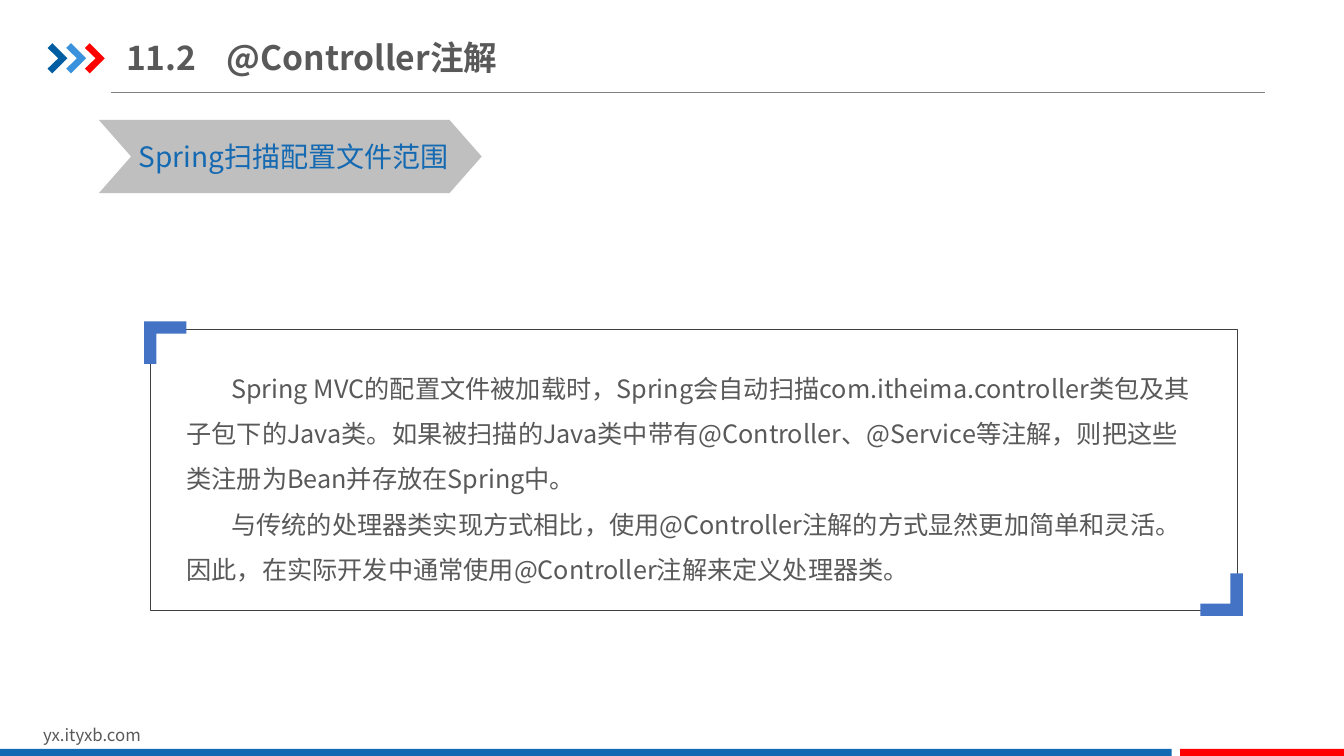
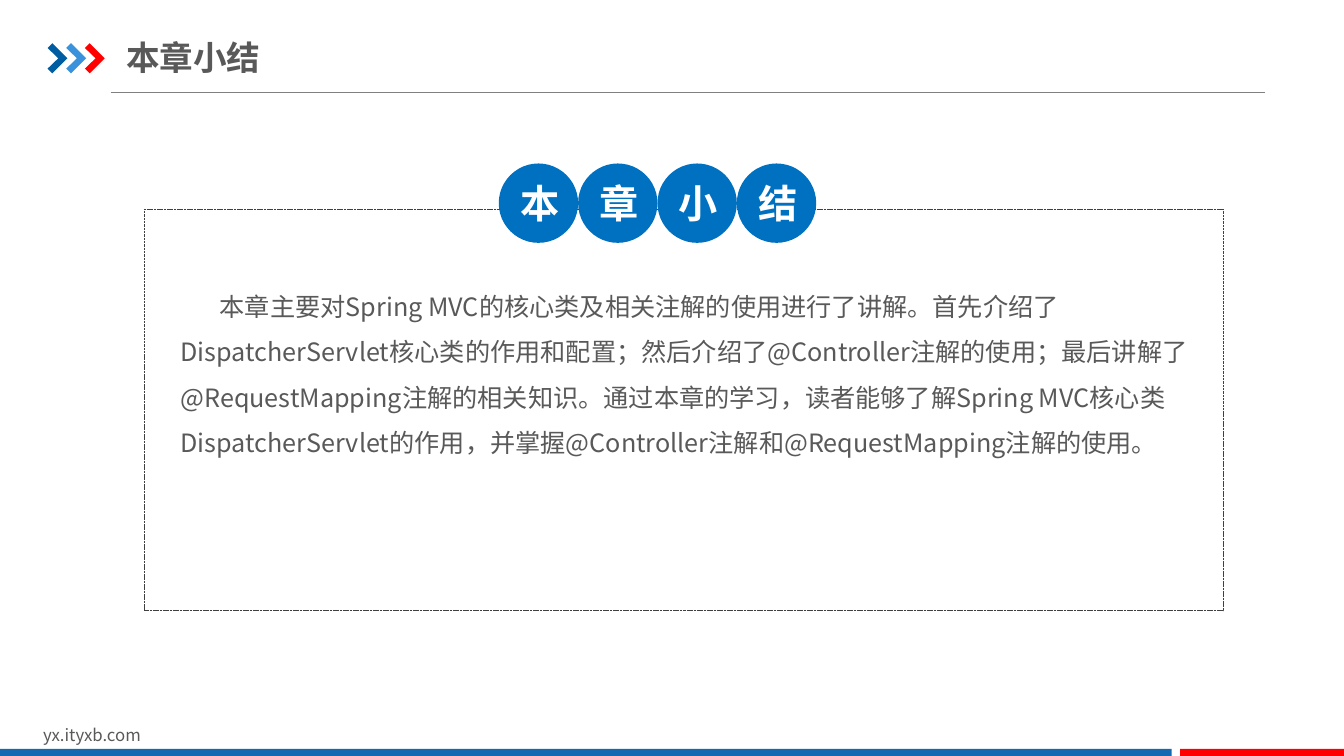
from pptx import Presentation
from pptx.dml.color import RGBColor
from pptx.enum.dml import MSO_LINE
from pptx.enum.shapes import MSO_CONNECTOR, MSO_SHAPE
from pptx.enum.text import MSO_ANCHOR, PP_ALIGN
from pptx.oxml.ns import qn
from pptx.util import Cm, Pt
from lxml import etree

RECTANGLE, CHEVRON, OVAL = MSO_SHAPE.RECTANGLE, MSO_SHAPE.CHEVRON, MSO_SHAPE.OVAL
STRAIGHT = MSO_CONNECTOR.STRAIGHT
DASH = MSO_LINE.SQUARE_DOT
TOP, MIDDLE = MSO_ANCHOR.TOP, MSO_ANCHOR.MIDDLE
LEFT, CENTER = PP_ALIGN.LEFT, PP_ALIGN.CENTER

FONT = "Noto Sans CJK SC"
TEXT_GRAY = RGBColor(0x59, 0x59, 0x59)
RULE_GRAY = RGBColor(0x80, 0x80, 0x80)
FRAME_GRAY = RGBColor(0x40, 0x40, 0x40)
BANNER_GRAY = RGBColor(0xBF, 0xBF, 0xBF)
WHITE = RGBColor(0xFF, 0xFF, 0xFF)
BLUE = RGBColor(0x13, 0x69, 0xB2)
DEEP_BLUE = RGBColor(0x00, 0x5D, 0xA2)
LIGHT_BLUE = RGBColor(0x39, 0x92, 0xDB)
CORNER_BLUE = RGBColor(0x44, 0x72, 0xC4)
CIRCLE_BLUE = RGBColor(0x00, 0x70, 0xC0)
RED = RGBColor(0xFF, 0x00, 0x00)

WIDTH, HEIGHT = 33.87, 19.05
ARROW = [(0, 0.12), (0.12, 0), (0.5, 0.38), (0.12, 0.76), (0, 0.64), (0.27, 0.38)]
CORNER = [(0, 0), (1.07, 0), (1.07, 0.31), (0.31, 0.31), (0.31, 1.07), (0, 1.07)]


def add_figure(slide, kind, left, top, width=0, height=0, fill=None, line=None, flip=1):
    """Add a preset shape, or an outline when kind is a list of points in cm."""
    if isinstance(kind, list):
        points = [(Cm(left + flip * x), Cm(top + flip * y)) for x, y in kind]
        builder = slide.shapes.build_freeform(*points[0], scale=1.0)
        builder.add_line_segments(points[1:], close=True)
        shape = builder.convert_to_shape()
    else:
        shape = slide.shapes.add_shape(kind, Cm(left), Cm(top), Cm(width), Cm(height))
    shape.shadow.inherit = False
    if fill is None:
        shape.fill.background()
    else:
        shape.fill.solid()
        shape.fill.fore_color.rgb = fill
    if line is None:
        shape.line.fill.background()
    else:
        shape.line.color.rgb = line
        shape.line.width = Pt(0.25)
    return shape


def write_text(shape, text, size, color=TEXT_GRAY, bold=False, align=LEFT, anchor=TOP,
               margins=(0.25, 0.13), spacing=1.0, indent=0, tab=None, wrap=True):
    """Fill a shape with text, one paragraph per line; lengths are in cm."""
    frame = shape.text_frame
    frame.word_wrap = wrap
    frame.vertical_anchor = anchor
    frame.margin_left = frame.margin_right = Cm(margins[0])
    frame.margin_top = frame.margin_bottom = Cm(margins[1])
    for index, content in enumerate(text.split("\n")):
        paragraph = frame.add_paragraph() if index else frame.paragraphs[0]
        paragraph.alignment = align
        paragraph.line_spacing = spacing
        properties = paragraph._p.get_or_add_pPr()
        properties.set("indent", str(Cm(indent)))
        if tab:
            tabs = etree.SubElement(properties, qn("a:tabLst"))
            etree.SubElement(tabs, qn("a:tab"), pos=str(Cm(tab)), algn="l")
        run = paragraph.add_run()
        run.text = content
        run.font.size = Pt(size)
        run.font.bold = bold
        run.font.color.rgb = color
        run.font.name = FONT
        etree.SubElement(run._r.get_or_add_rPr(), qn("a:ea"), typeface=FONT)


presentation = Presentation()
presentation.slide_width, presentation.slide_height = Cm(WIDTH), Cm(HEIGHT)

# Header and footer of every slide
slides = []
for title in ("11.2\t@Controller注解", "本章小结"):
    slide = presentation.slides.add_slide(presentation.slide_layouts[6])
    slides.append(slide)
    rule = slide.shapes.add_connector(STRAIGHT, Cm(2.79), Cm(2.32), Cm(31.88), Cm(2.32))
    rule.line.color.rgb = RULE_GRAY
    rule.line.width = Pt(0.5)
    etree.SubElement(rule._element.spPr, qn("a:effectLst"))
    for index, color in enumerate((DEEP_BLUE, LIGHT_BLUE, RED)):
        add_figure(slide, ARROW, 1.2 + 0.47 * index, 1.09, fill=color)
    for left, right, color in ((0, 29.53, BLUE), (29.74, WIDTH, RED)):
        add_figure(slide, RECTANGLE, left, 18.87, right - left, HEIGHT - 18.87, fill=color)
    footer = slide.shapes.add_textbox(Cm(0.84), Cm(18.13), Cm(8.08), Cm(0.77))
    write_text(footer, "yx.ityxb.com", 12)
    title_box = slide.shapes.add_textbox(Cm(3.18), Cm(0.75), Cm(10.75), Cm(1.4))
    write_text(title_box, title, 24, bold=True, anchor=MIDDLE, margins=(0, 0.18),
               tab=2.16 if "\t" in title else None)

scan_slide, summary_slide = slides

# Scan range
banner = add_figure(scan_slide, CHEVRON, 2.49, 3.02, 9.65, 1.85, fill=BANNER_GRAY)
banner.adjustments[0] = 0.44
banner_label = scan_slide.shapes.add_textbox(Cm(3.25), Cm(3.38), Cm(8.64), Cm(1.12))
write_text(banner_label, "Spring扫描配置文件范围", 20, color=BLUE, wrap=False)
add_figure(scan_slide, RECTANGLE, 3.79, 8.29, 27.4, 7.09, line=FRAME_GRAY)
for left, top, flip in ((3.63, 8.1, 1), (31.32, 15.52, -1)):
    add_figure(scan_slide, CORNER, left, top, fill=CORNER_BLUE, flip=flip)
scan_body = scan_slide.shapes.add_textbox(Cm(4.45), Cm(8.89), Cm(26.09), Cm(6.02))
write_text(
    scan_body,
    "Spring MVC的配置文件被加载时，Spring会自动扫描com.itheima.controller类包及其子包下的Java类。"
    "如果被扫描的Java类中带有@Controller、@Service等注解，则把这些类注册为Bean并存放在Spring中。\n"
    "与传统的处理器类实现方式相比，使用@Controller注解的方式显然更加简单和灵活。"
    "因此，在实际开发中通常使用@Controller注解来定义处理器类。",
    18, spacing=1.5, indent=1.13)

# Chapter summary
summary_frame = add_figure(summary_slide, RECTANGLE, 3.63, 5.26, 27.2, 10.13, line=FRAME_GRAY)
summary_frame.line.dash_style = DASH
for index, character in enumerate("本章小结"):
    circle = add_figure(summary_slide, OVAL, 12.57 + 2 * index, 4.12, 2, 2, fill=CIRCLE_BLUE)
    write_text(circle, character, 28, color=WHITE, bold=True, align=CENTER, anchor=MIDDLE)
summary_body = summary_slide.shapes.add_textbox(Cm(4.22), Cm(6.78), Cm(26.39), Cm(4.83))
write_text(
    summary_body,
    "本章主要对Spring MVC的核心类及相关注解的使用进行了讲解。"
    "首先介绍了DispatcherServlet核心类的作用和配置；然后介绍了@Controller注解的使用；"
    "最后讲解了@RequestMapping注解的相关知识。"
    "通过本章的学习，读者能够了解Spring MVC核心类DispatcherServlet的作用，"
    "并掌握@Controller注解和@RequestMapping注解的使用。",
    18, margins=(0.33, 0.18), spacing=1.5, indent=0.99)

presentation.save("out.pptx")
